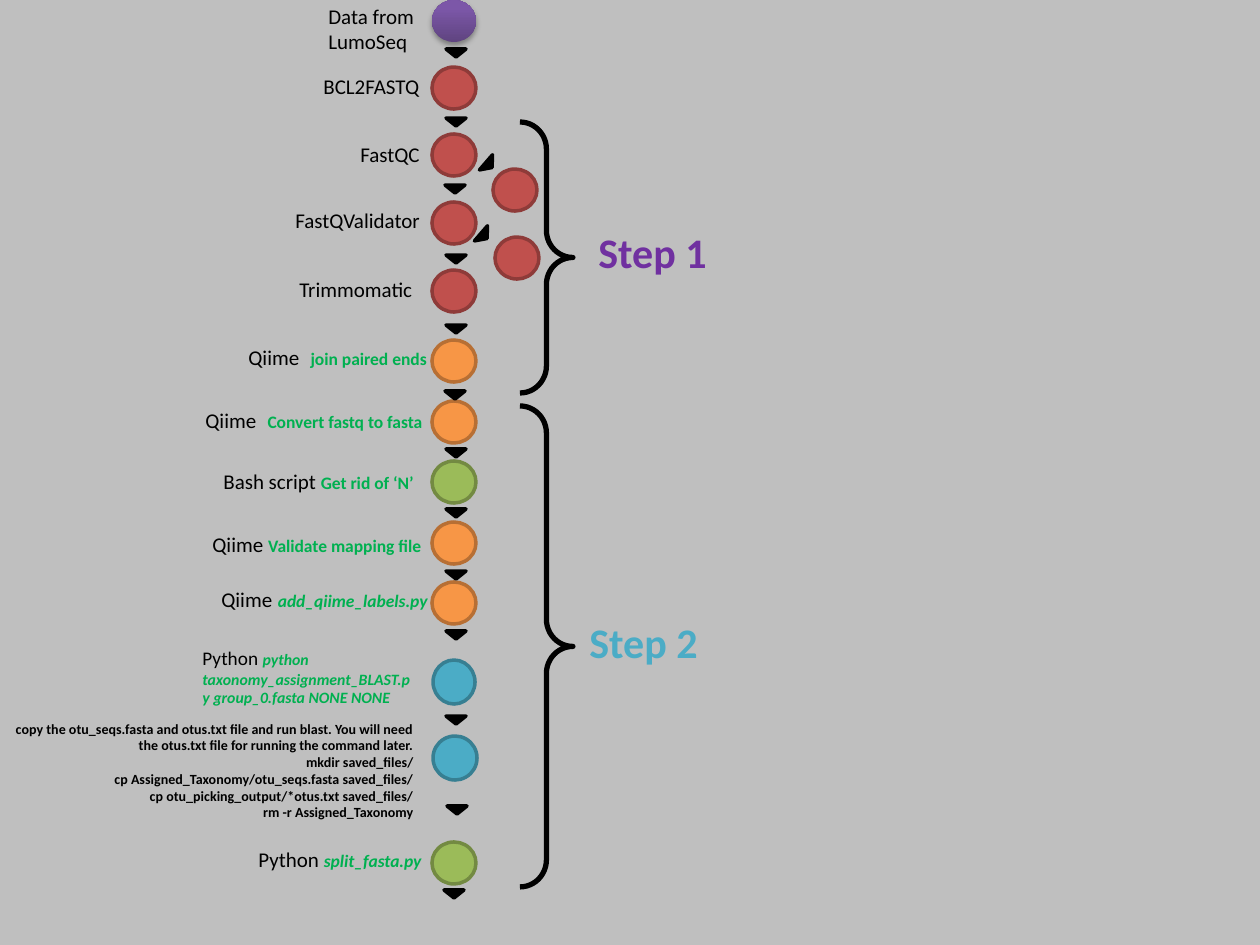
from lxml.etree import SubElement
from pptx import Presentation
from pptx.dml.color import RGBColor
from pptx.enum.shapes import MSO_SHAPE
from pptx.enum.text import PP_ALIGN
from pptx.oxml.ns import qn
from pptx.util import Pt

PX = 914400 // 126
COLORS = {
    "background": "BFBFBF", "black": "000000", "green_text": "00B050",
    "step1": "7030A0", "step2": "4BACC6",
    "red": "C0504D", "red_line": "8E3B39",
    "orange": "F79646", "orange_line": "B76F34",
    "green": "9BBB59", "green_line": "738A42",
    "blue": "4BACC6", "blue_line": "377F92",
    "purple_dark": "5F4480", "purple_light": "7C57A8",
}

prs = Presentation()
prs.slide_width, prs.slide_height = 1260 * PX, 945 * PX
s = prs.slides.add_slide(prs.slide_layouts[6])


def rgb(name):
    return RGBColor.from_string(COLORS[name])


def add_text(box, paragraphs, size=12, color="black", bold=False, align=PP_ALIGN.LEFT):
    """Each paragraph is a list of runs: (text, overrides)."""
    tf = s.shapes.add_textbox(*[v * PX for v in box]).text_frame
    tf.word_wrap = True
    for i, runs in enumerate(paragraphs):
        p = tf.paragraphs[0] if i == 0 else tf.add_paragraph()
        p.alignment = align
        for text, fmt in runs:
            r = p.add_run()
            r.text = text
            r.font.name = "Calibri"
            r.font.size = Pt(fmt.get("size", size))
            r.font.bold = fmt.get("bold", bold)
            r.font.italic = fmt.get("italic", False)
            r.font.color.rgb = rgb(fmt.get("color", color))
            if "spacing" in fmt:
                r.font._element.set("spc", str(fmt["spacing"]))


def add_shape(kind, box, fill=None, line=None, width=2, rotation=0):
    sp = s.shapes.add_shape(kind, *[v * PX for v in box])
    sp.shadow.inherit = False
    sp.rotation = rotation
    if fill:
        sp.fill.solid()
        sp.fill.fore_color.rgb = rgb(fill)
    else:
        sp.fill.background()
    if line:
        sp.line.color.rgb = rgb(line)
        sp.line.width = Pt(width)
    else:
        sp.line.fill.background()
    return sp


s.background.fill.solid()
s.background.fill.fore_color.rgb = rgb("background")

# Step braces and headings
for brace, heading, text, color in [
    ((520, 122, 53, 271), (586, 220, 202, 63), "Step 1", "step1"),
    ((520, 406, 53, 481), (577, 610, 210, 63), "Step 2", "step2"),
]:
    sp = add_shape(MSO_SHAPE.RIGHT_BRACE, brace, line="black", width=3)
    sp.adjustments[0] = 0.51
    add_text(heading, [[(text, {})]], size=24, color=color, bold=True)

# Circles of the pipeline and the two side loops
circles = [("red", 432, y, 44, 42) for y in (67, 134, 202, 270)]
circles += [("orange", 432, y, 44, 42) for y in (340, 401, 522, 582)]
circles += [("green", 432, y, 44, 42) for y in (461, 842)]
circles += [("blue", 433, 660, 42, 44), ("blue", 433, 736, 44, 44)]
circles += [("red", 493, 169, 44, 42), ("red", 495, 237, 44, 42)]
for color, *box in circles:
    add_shape(MSO_SHAPE.OVAL, box, color, color + "_line")

# Starting circle with gradient and soft shadow
sp = add_shape(MSO_SHAPE.OVAL, (432, 0, 44, 42))
sp.fill.gradient()
sp.fill.gradient_angle = 90
for stop, position, color in zip(sp.fill.gradient_stops, (0, 0.8),
                                 ("purple_dark", "purple_light")):
    stop.position = position
    stop.color.rgb = rgb(color)
effects = sp._element.spPr.find(qn("a:effectLst"))
shadow = SubElement(effects, qn("a:outerShdw"), blurRad=str(Pt(3.1)),
                    dist=str(Pt(1.8)), dir="5400000", rotWithShape="0")
shade = SubElement(shadow, qn("a:srgbClr"), val=COLORS["black"])
SubElement(shade, qn("a:alpha"), val="35000")

# Arrowheads between the circles
arrows = [(446, y, 180) for y in (49, 118, 255, 325, 449, 509, 571, 631, 716)]
arrows += [(445, 185, 180), (445, 391, 180), (447, 806, 180), (444, 890, 180)]
arrows += [(479, 161, 130.8), (474, 232, 130.8)]
for x, y, rotation in arrows:
    add_shape(MSO_SHAPE.ISOSCELES_TRIANGLE, (x, y, 20, 8), "black", "black",
              rotation=rotation)

# Step labels: tool name, then the task in green
task = {"size": 10, "bold": True, "color": "green_text"}
script = {**task, "italic": True}
gap = {"size": 14}
wide_gap = {"size": 14, "spacing": 320}
for box, runs in [
    ((316, -3, 113, 63), [("Data from LumoSeq", {})]),
    ((311, 67, 130, 38), [("BCL2FASTQ", {})]),
    ((348, 135, 103, 38), [("FastQC", {})]),
    ((283, 201, 150, 38), [("FastQValidator", {})]),
    ((287, 270, 165, 38), [("Trimmomatic", {})]),
    ((236, 335, 207, 43), [("Qiime", {}), (" ", wide_gap), ("join paired ends", task)]),
    ((193, 398, 268, 43), [("Qiime", {}), (" ", wide_gap), ("Convert fastq to fasta", task)]),
    ((211, 462, 231, 38), [("Bash script ", {}), ("Get rid of ‘N’", task)]),
    ((200, 525, 262, 38), [("Qiime ", {}), ("Validate mapping file", task)]),
    ((209, 577, 242, 43), [("Qiime", {}), (" ", gap), ("add_qiime_labels.py", script)]),
    ((190, 640, 236, 74), [
        ("Python ", {"size": 11}),
        ("python taxonomy_assignment_BLAST.py group_0.fasta NONE NONE",
         {**script, "size": 9})]),
    ((246, 840, 205, 38), [("Python ", {}), ("split_fasta.py", script)]),
]:
    add_text(box, [runs])

# Commands to run before the last step
commands = [
    "copy the otu_seqs.fasta and otus.txt file and run blast. You will need "
    "the otus.txt file for running the command later.",
    "mkdir saved_files/",
    "cp Assigned_Taxonomy/otu_seqs.fasta saved_files/",
    "cp otu_picking_output/*otus.txt saved_files/",
    "rm -r Assigned_Taxonomy",
]
add_text((0, 714, 426, 115), [[(c, {})] for c in commands], size=8, bold=True,
         align=PP_ALIGN.RIGHT)

prs.save("out.pptx")
